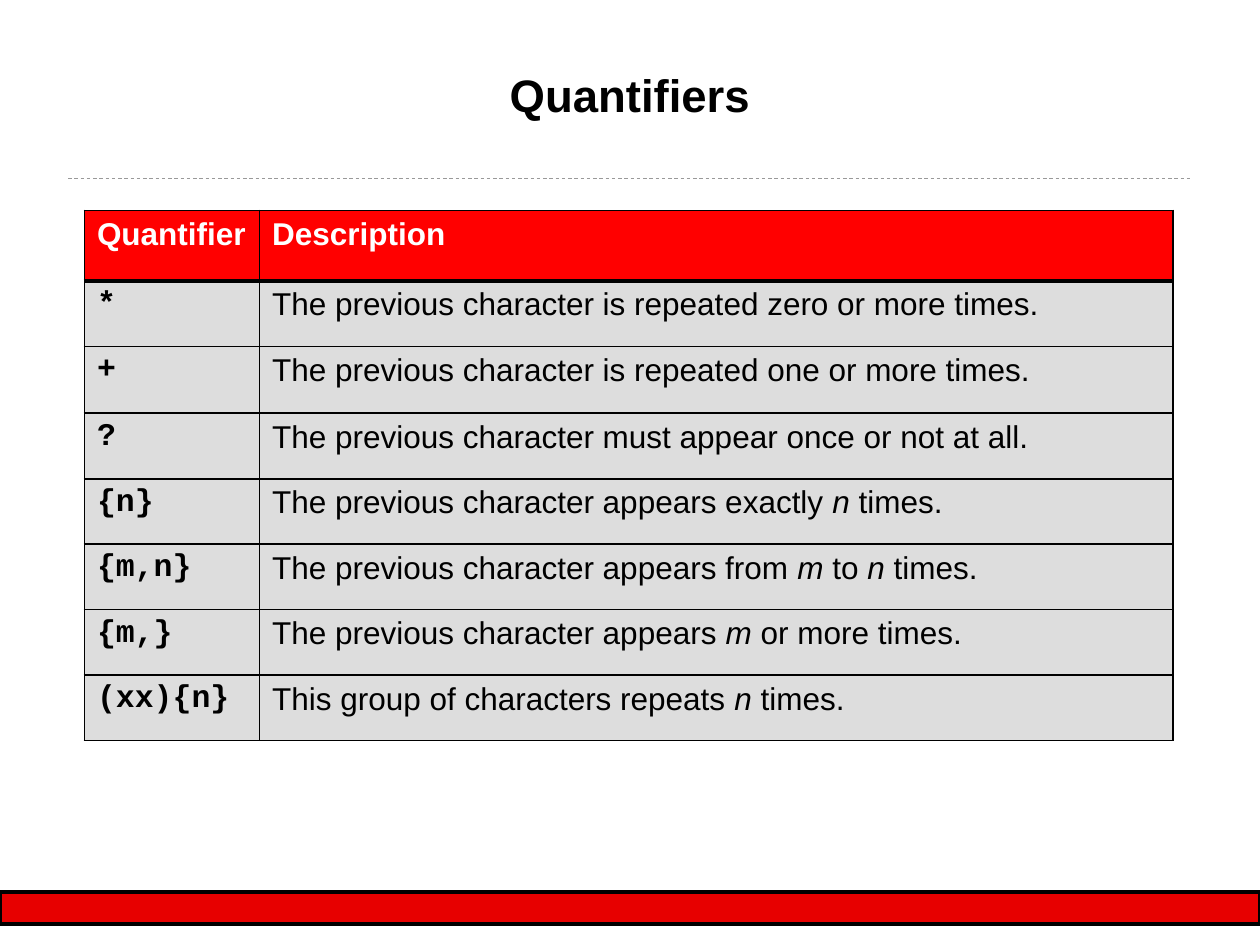
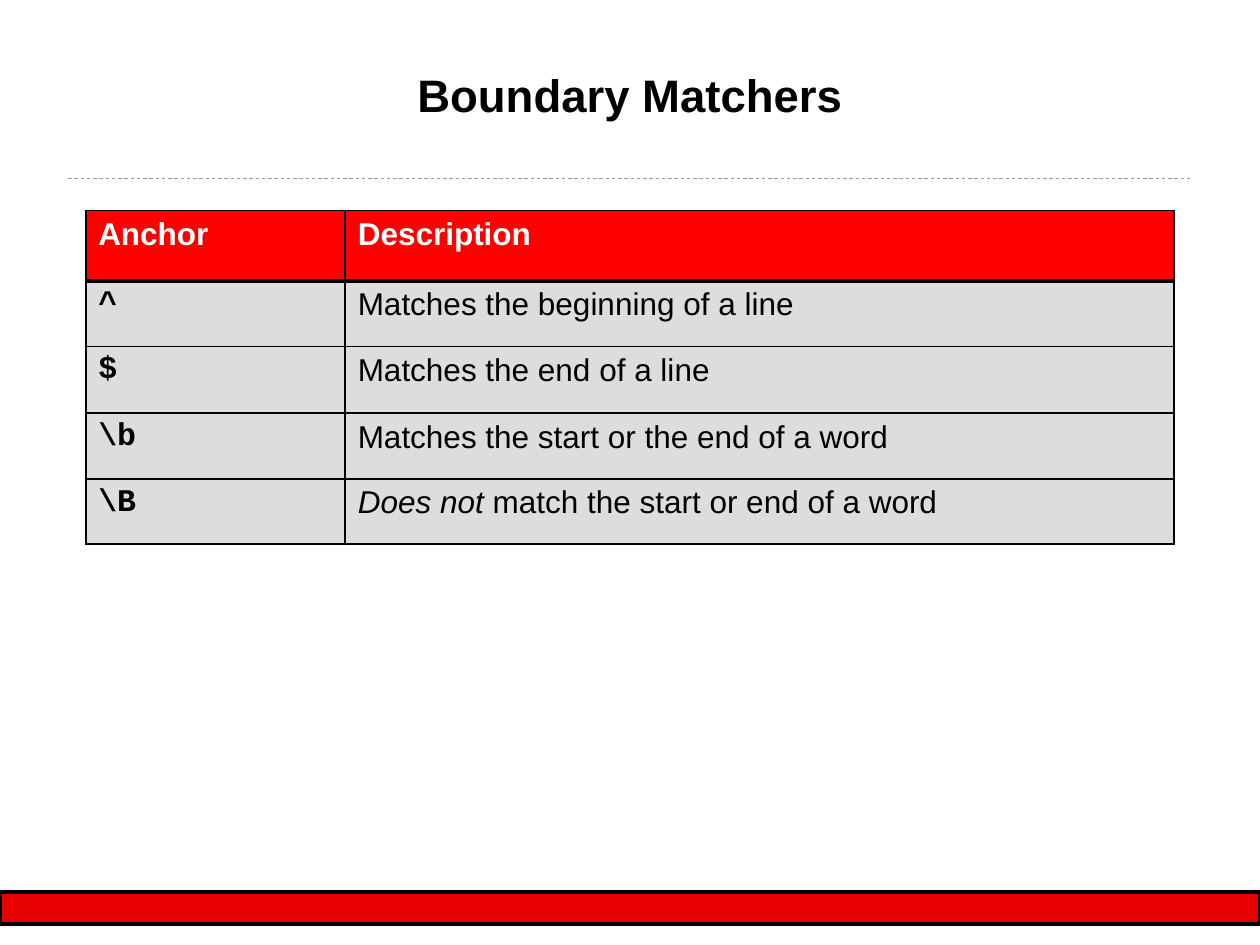
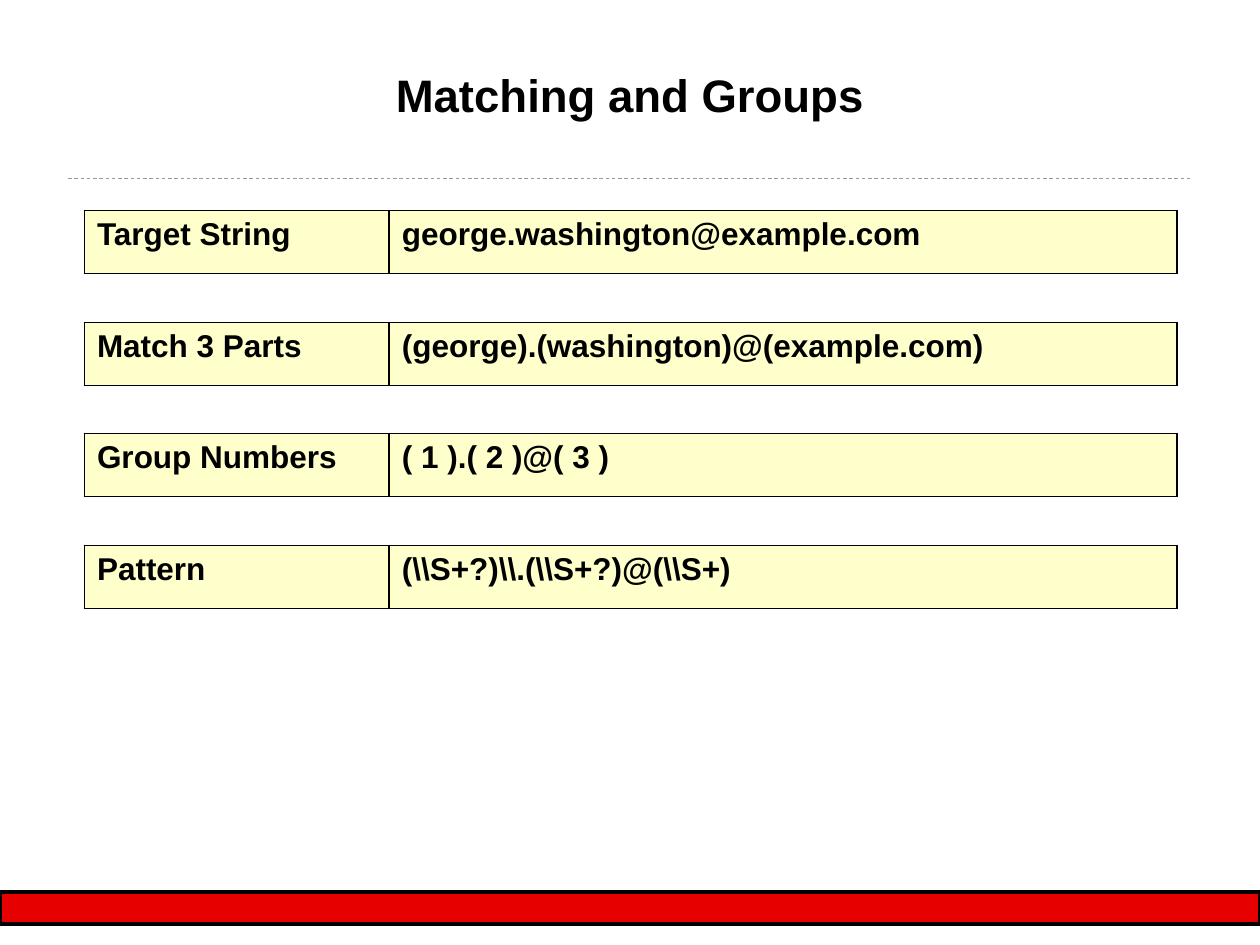
from dataclasses import dataclass

from lxml import etree
from pptx import Presentation
from pptx import util as u
from pptx.dml.color import RGBColor
from pptx.enum import dml, shapes, text
from pptx.oxml import ns

SCALE = 9144
BLACK = RGBColor(0x00, 0x00, 0x00)
WHITE = RGBColor(0xFF, 0xFF, 0xFF)
RED = RGBColor(0xFF, 0x00, 0x00)
BAND = RGBColor(0xE7, 0x00, 0x00)
RULE = RGBColor(0x99, 0x99, 0x99)
GRAY = RGBColor(0xDD, 0xDD, 0xDD)
CREAM = RGBColor(0xFF, 0xFF, 0xCC)
SANS = "Arial"
MONO = "Courier New"
THIN = 1.08
THICK = 2.21
TOP = 167
STEP = 266 / 3


@dataclass(frozen=True)
class Grid:
    left: int
    cols: tuple[int, int]
    head: tuple[str, str]
    rows: tuple[tuple[str, str], ...]


@dataclass(frozen=True)
class Style:
    fill: RGBColor
    color: RGBColor = BLACK
    fonts: tuple[str, str] = (SANS, SANS)
    bolds: tuple[bool, bool] = (True, True)


HEAD = Style(RED, WHITE)
BODY = Style(GRAY, fonts=(MONO, SANS), bolds=(True, False))
NOTE = Style(CREAM)

COUNTS = Grid(67, (139, 725), ("Quantifier", "Description"), (
    ("*", "The previous character is repeated zero or more times."),
    ("+", "The previous character is repeated one or more times."),
    ("?", "The previous character must appear once or not at all."),
    ("{n}", "The previous character appears exactly |n| times."),
    ("{m,n}", "The previous character appears from |m| to |n| times."),
    ("{m,}", "The previous character appears |m| or more times."),
    ("(xx){n}", "This group of characters repeats |n| times."),
))
BOUNDS = Grid(68, (206, 658), ("Anchor", "Description"), (
    ("^", "Matches the beginning of a line"),
    ("$", "Matches the end of a line"),
    (r"\b", "Matches the start or the end of a word"),
    (r"\B", "|Does not |match the start or end of a word"),
))
GROUPS = (
    ("Target String", "george.washington@example.com"),
    ("Match 3 Parts", "(george).(washington)@(example.com)"),
    ("Group Numbers", "( 1 ).( 2 )@( 3 )"),
    ("Pattern", r"(\\S+?)\\.(\\S+?)@(\\S+)"),
)


def px(n: int) -> u.Emu:
    return u.Emu(n * SCALE)


def write(frame, words: str, *, size: int = 18, font: str = SANS,
          color: RGBColor = BLACK, bold: bool = True,
          align=text.PP_ALIGN.LEFT) -> None:
    para = frame.paragraphs[0]
    para.alignment = align
    for i, part in enumerate(words.split("|")):
        if part:
            run = para.add_run()
            run.text = part
            run.font.size = u.Pt(size)
            run.font.name = font
            run.font.color.rgb = color
            run.font.bold = bold
            run.font.italic = i % 2 == 1


def edge(cell, top: float, base: float) -> None:
    props = cell._tc.get_or_add_tcPr()
    widths = {"L": THIN, "R": THIN, "T": top, "B": base}
    for i, (side, width) in enumerate(widths.items()):
        line = etree.Element(ns.qn(f"a:ln{side}"), w=str(u.Pt(width)))
        fill = etree.SubElement(line, ns.qn("a:solidFill"))
        etree.SubElement(fill, ns.qn("a:srgbClr"), val=str(BLACK))
        props.insert(i, line)


def fill_row(table, row: int, words: tuple[str, str], style: Style,
             top: float = THIN, base: float = THIN) -> None:
    for col, word in enumerate(words):
        cell = table.cell(row, col)
        cell.fill.solid()
        cell.fill.fore_color.rgb = style.fill
        edge(cell, top, base)
        write(cell.text_frame, word, font=style.fonts[col],
              color=style.color, bold=style.bolds[col])


def add_grid(slide, left: int, top: int, cols: tuple[int, int],
             rows: list[int]):
    table = slide.shapes.add_table(
        len(rows), len(cols), px(left), px(top),
        px(sum(cols)), px(sum(rows))).table
    table.first_row = False
    table.horz_banding = False
    for col, width in zip(table.columns, cols):
        col.width = px(width)
    for row, height in zip(table.rows, rows):
        row.height = px(height)
    return table


def add_page(deck, title: str):
    slide = deck.slides.add_slide(deck.slide_layouts[5])
    rule = slide.shapes.add_connector(
        shapes.MSO_CONNECTOR.STRAIGHT, px(54), px(142), px(946), px(142))
    rule.line.color.rgb = RULE
    rule.line.width = u.Pt(0.5)
    rule.line.dash_style = dml.MSO_LINE.DASH
    etree.SubElement(rule._element.spPr, ns.qn("a:effectLst"))
    band = slide.shapes.add_shape(
        shapes.MSO_SHAPE.FLOWCHART_PROCESS, px(0), px(708), px(1000), px(25))
    band.shadow.inherit = False
    band.fill.solid()
    band.fill.fore_color.rgb = BAND
    band.line.color.rgb = BLACK
    band.line.width = u.Pt(2.25)
    head = slide.shapes.title
    head.left, head.top, head.width, head.height = map(px, (67, 48, 866, 96))
    frame = head.text_frame
    frame.auto_size = text.MSO_AUTO_SIZE.NONE
    frame.word_wrap = True
    frame.vertical_anchor = text.MSO_ANCHOR.TOP
    frame.margin_left = frame.margin_right = frame.margin_bottom = px(1)
    frame.margin_top = px(5)
    write(frame, title, size=26, align=text.PP_ALIGN.CENTER)
    return slide


def add_list(deck, title: str, grid: Grid) -> None:
    slide = add_page(deck, title)
    sizes = [56] + [52] * len(grid.rows)
    sizes[2] = 53
    table = add_grid(slide, grid.left, TOP, grid.cols, sizes)
    table.first_row = True
    fill_row(table, 0, grid.head, HEAD, base=THICK)
    for i, words in enumerate(grid.rows, 1):
        fill_row(table, i, words, BODY, top=THICK if i == 1 else THIN)


def add_groups(deck) -> None:
    slide = add_page(deck, "Matching and Groups")
    for i, words in enumerate(GROUPS):
        table = add_grid(slide, 67, TOP + round(i * STEP), (242, 625), [50])
        fill_row(table, 0, words, NOTE)


def main() -> None:
    deck = Presentation()
    deck.slide_width, deck.slide_height = px(1000), px(750)
    add_list(deck, "Quantifiers", COUNTS)
    add_list(deck, "Boundary Matchers", BOUNDS)
    add_groups(deck)
    deck.save("out.pptx")


if __name__ == "__main__":
    main()
